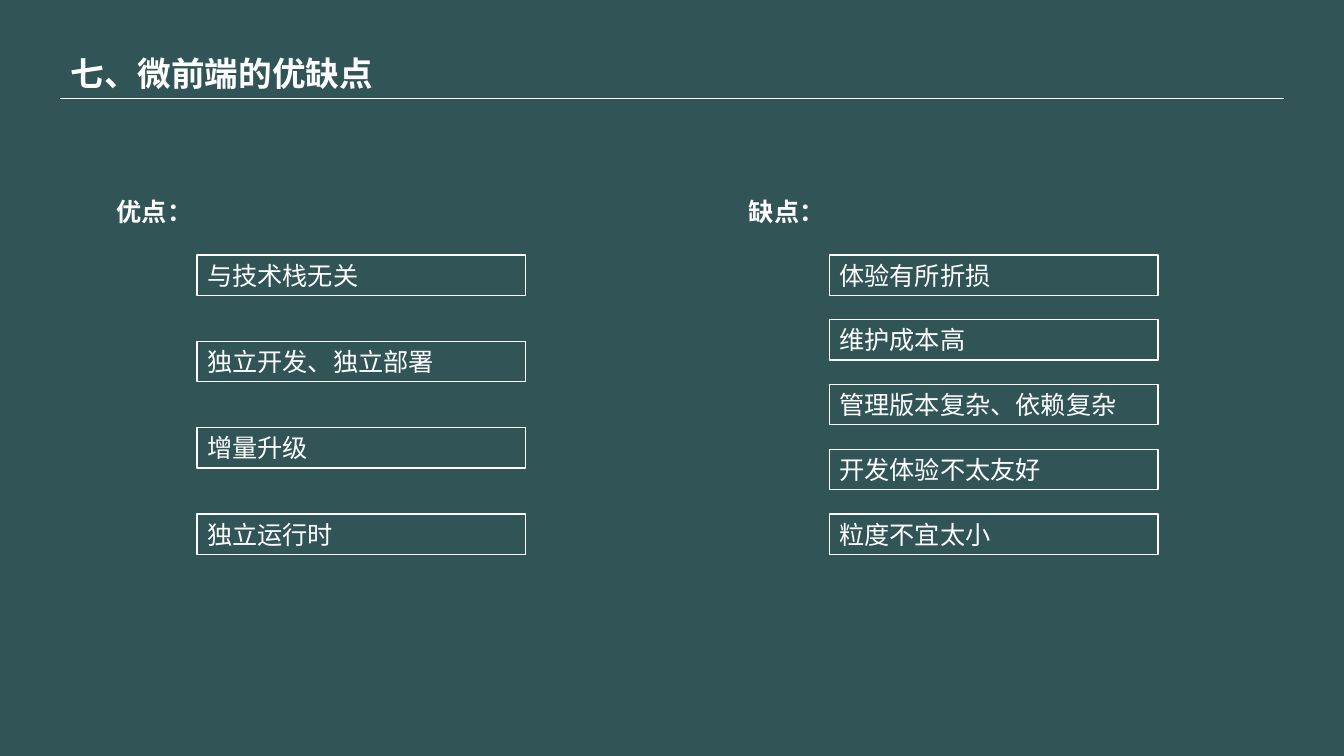
from lxml import etree
from pptx import Presentation
from pptx.dml.color import RGBColor
from pptx.enum.shapes import MSO_CONNECTOR, MSO_SHAPE
from pptx.enum.text import MSO_ANCHOR, PP_ALIGN
from pptx.oxml.ns import qn
from pptx.util import Inches, Pt

LINE = MSO_CONNECTOR.STRAIGHT
RECT = MSO_SHAPE.RECTANGLE
MIDDLE = MSO_ANCHOR.MIDDLE
LEFT = PP_ALIGN.LEFT
FONT = "Noto Sans CJK SC"
WHITE = "FFFFFF"
GREEN = "315457"
UNIT = Inches(0.1)
ROW = 4
TITLE = "七、微前端的优缺点"
PANELS = [
    (10.6, "优点：", ["与技术栈无关", "独立开发、独立部署", "增量升级", "独立运行时"]),
    (73.3, "缺点：", ["体验有所折损", "维护成本高", "管理版本复杂、依赖复杂",
                    "开发体验不太友好", "粒度不宜太小"]),
]


def grid(*cells):
    return [round(cell * UNIT) for cell in cells]


def paint(color, value):
    color.rgb = RGBColor.from_string(value)


def write(shape, text, size, bold=False):
    frame = shape.text_frame
    frame.word_wrap = True
    frame.vertical_anchor = MIDDLE
    frame.text = text
    para = frame.paragraphs[0]
    para.alignment = LEFT
    font = para.font
    font.name, font.size, font.bold = FONT, Pt(size), bold
    paint(font.color, WHITE)
    props = para._p.pPr.find(qn("a:defRPr"))
    etree.SubElement(props, qn("a:ea"), typeface=FONT)


def head(slide, left, top, width, height):
    title = slide.shapes.title
    title.left, title.top, title.width, title.height = grid(left, top, width, height)
    write(title, TITLE, 24, True)
    base = top + height
    rule = slide.shapes.add_connector(LINE, *grid(left, base, left + width, base))
    paint(rule.line.color, WHITE)
    rule.line.width = Pt(0.5)
    etree.SubElement(rule._element.spPr, qn("a:effectLst"))


def panel(slide, left, top, width, height, label, items):
    text = slide.shapes.add_textbox(*grid(left, top, width * 0.68, ROW))
    write(text, label, 18, True)
    inset, start = 8.95, 6.3
    step = (height - start - ROW) / (len(items) - 1)
    for index, item in enumerate(items):
        box = slide.shapes.add_shape(
            RECT, *grid(left + inset, top + start + index * step, width - inset, ROW))
        box.shadow.inherit = False
        box.fill.background()
        paint(box.line.color, WHITE)
        box.line.width = Pt(1)
        write(box, item, 18)


deck = Presentation()
deck.slide_width, deck.slide_height = Inches(13.33), Inches(7.5)
slide = deck.slides.add_slide(deck.slide_layouts.get_by_name("Title Only"))
fill = slide.background.fill
fill.solid()
paint(fill.fore_color, GREEN)
head(slide, 6, 4.7, 121.3, 5.1)
for left, label, items in PANELS:
    panel(slide, left, 19, 41.55, 36, label, items)
deck.save("out.pptx")
